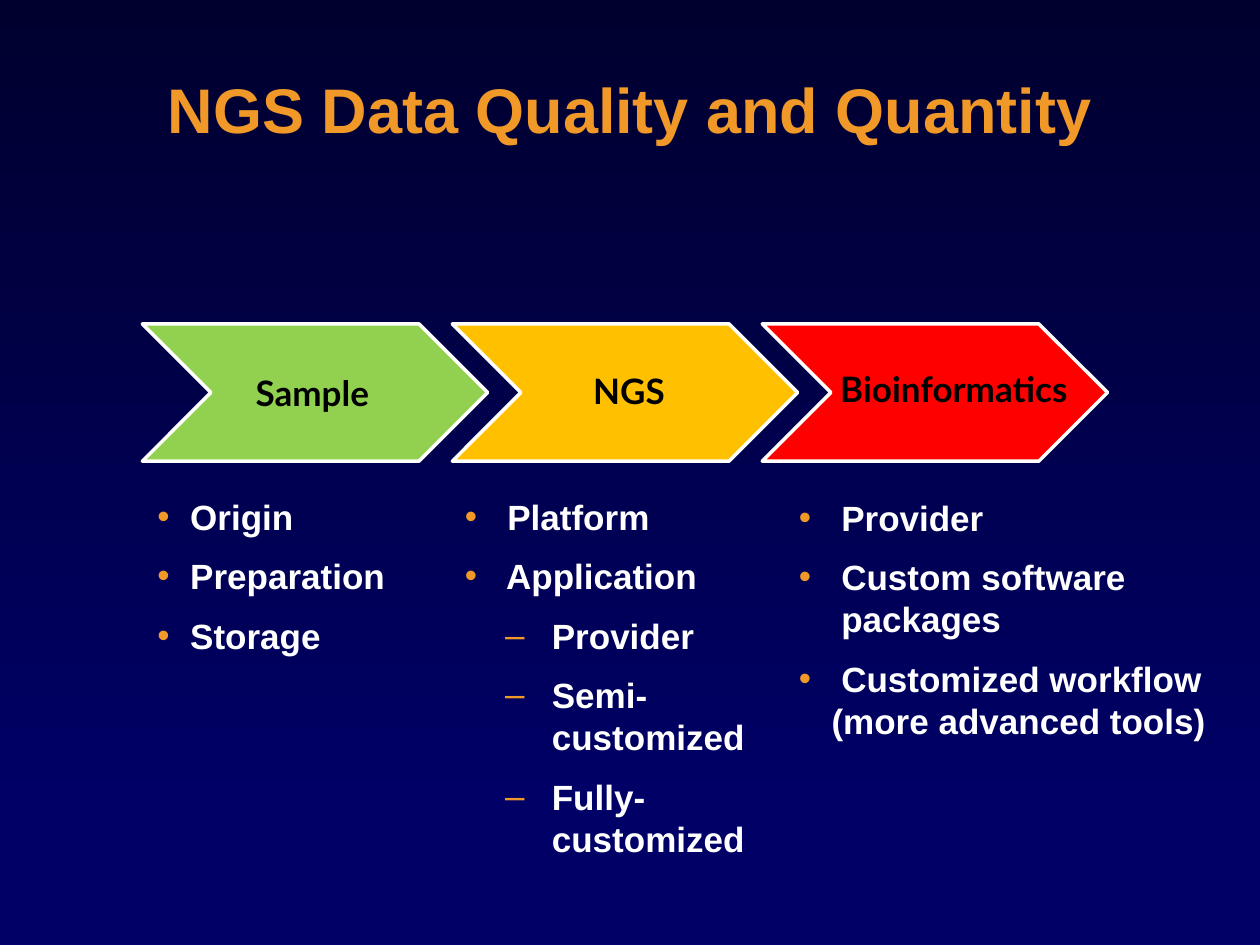
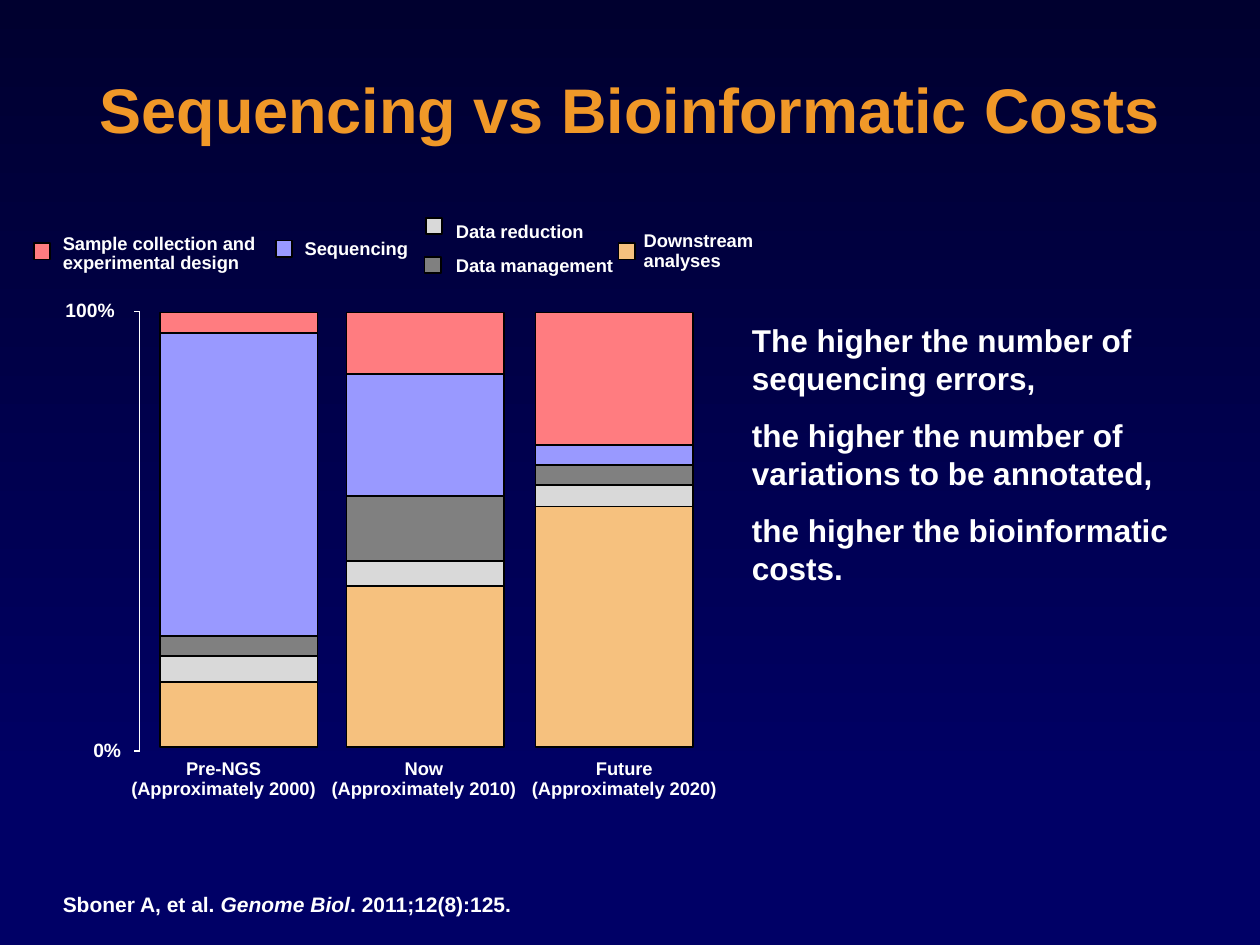
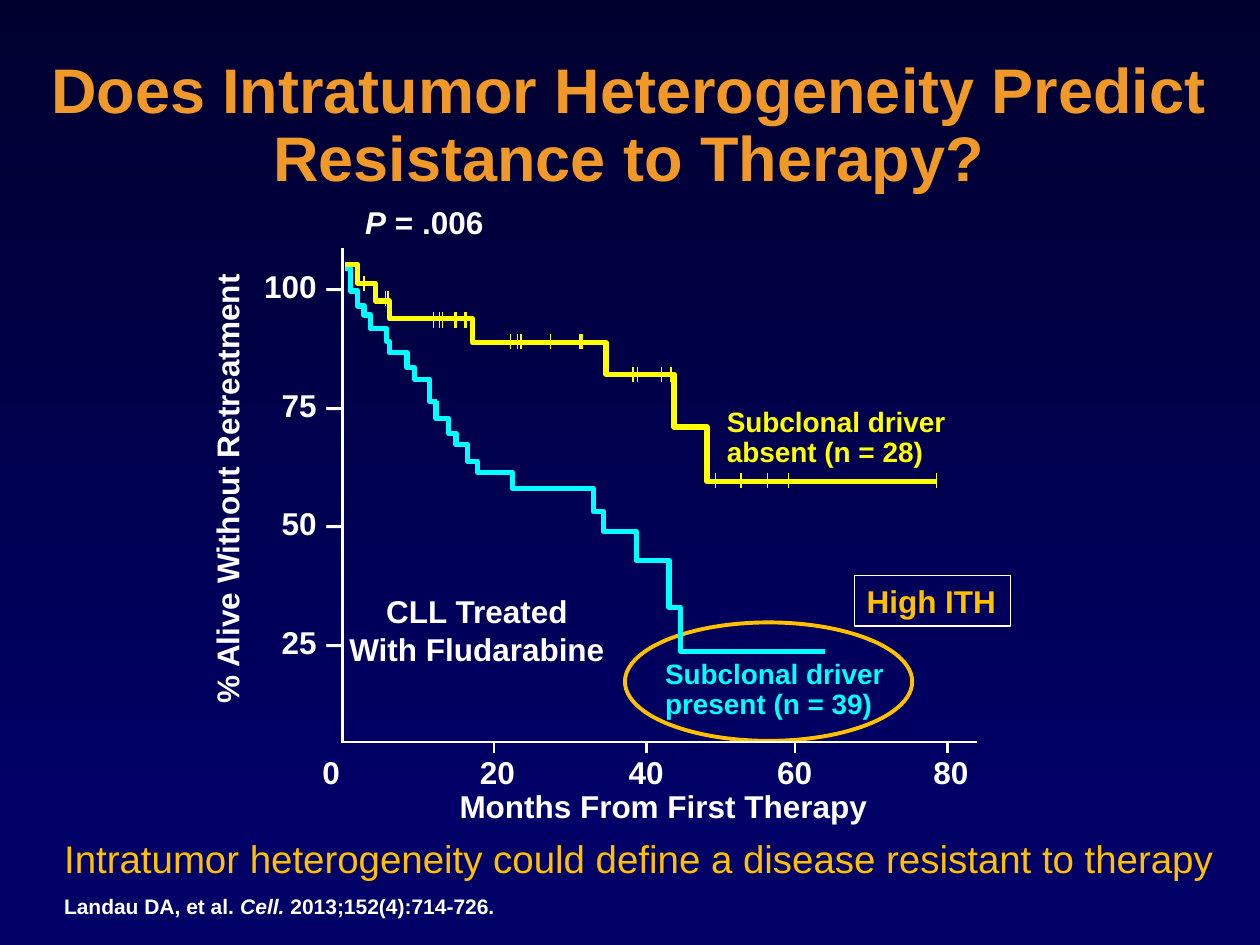
from pptx import Presentation
from pptx.dml.color import RGBColor
from pptx.enum.shapes import MSO_CONNECTOR, MSO_SHAPE as SHAPE
from pptx.enum.text import MSO_ANCHOR as ANCHOR, PP_ALIGN as ALIGN
from pptx.oxml import parse_xml
from pptx.oxml.ns import nsdecls
from pptx.oxml.xmlchemy import OxmlElement
from pptx.util import Pt

# Shared style: 100 px to the inch
PX = 9144
WIDTH, HEIGHT = 1000, 750
SANS, LABEL_FONT = "Arial", "Lato"

WHITE = RGBColor(0xFF, 0xFF, 0xFF)
BLACK = RGBColor(0x00, 0x00, 0x00)
NAVY = RGBColor(0x00, 0x00, 0x66)
MIDNIGHT = RGBColor(0x00, 0x00, 0x2F)
ORANGE = RGBColor(0xF0, 0x98, 0x28)
GOLD = RGBColor(0xFF, 0xC0, 0x00)
GREEN = RGBColor(0x92, 0xD0, 0x50)
RED = RGBColor(0xFF, 0x00, 0x00)
YELLOW = RGBColor(0xFF, 0xFF, 0x00)
CYAN = RGBColor(0x00, 0xFF, 0xFF)
SALMON = RGBColor(0xFF, 0x7C, 0x80)
LILAC = RGBColor(0x99, 0x99, 0xFF)
GRAY = RGBColor(0x80, 0x80, 0x80)
SILVER = RGBColor(0xD9, 0xD9, 0xD9)
PEACH = RGBColor(0xF6, 0xC1, 0x7E)

# Bullet mark: level, left margin, hanging indent
BULLETS = {"•": (0, 26, -26), "–": (1, 69, -37)}


def add_bullet(paragraph, mark):
    level, margin, indent = BULLETS[mark]
    paragraph.level = level
    props = paragraph._p.get_or_add_pPr()
    props.set("marL", str(margin * PX))
    props.set("indent", str(indent * PX))
    ns = nsdecls("a")
    props.append(parse_xml(f'<a:buClr {ns}><a:srgbClr val="{ORANGE}"/></a:buClr>'))
    props.append(parse_xml(f'<a:buFont {ns} typeface="{SANS}"/>'))
    props.append(parse_xml(f'<a:buChar {ns} char="{mark}"/>'))


def add_tabs(paragraph, stops):
    tabs = "".join(f'<a:tab pos="{stop * PX}" algn="l"/>' for stop in stops)
    paragraph._p.get_or_add_pPr().append(
        parse_xml(f'<a:tabLst {nsdecls("a")}>{tabs}</a:tabLst>'))


def add_text_shadow(run):
    shadow = parse_xml(
        f'<a:effectLst {nsdecls("a")}><a:outerShdw blurRad="38100" dist="38100" '
        'dir="2700000" algn="tl"><a:srgbClr val="000000"/></a:outerShdw></a:effectLst>')
    run.font.fill._xPr.find("{*}solidFill").addnext(shadow)


def write(frame, text, size=18, color=WHITE, bold=True, font=SANS, align=ALIGN.LEFT,
          spacing=None, after=None, inset=None, anchor=ANCHOR.TOP, wrap=True,
          bulleted=False, tabs=(), shadow=False):
    """Fill a frame: one paragraph a line, *italic* between stars, \\v for a line break."""
    frame.word_wrap = wrap
    frame.vertical_anchor = anchor
    if inset is not None:
        frame.margin_left = frame.margin_right = inset * PX
        frame.margin_top = frame.margin_bottom = inset * PX
    for number, line in enumerate(text.split("\n")):
        paragraph = frame.add_paragraph() if number else frame.paragraphs[0]
        if bulleted:
            add_bullet(paragraph, line[0])
            line = line[1:]
        if tabs:
            add_tabs(paragraph, tabs)
        paragraph.alignment = align
        if spacing:
            paragraph.line_spacing = spacing
        if after:
            paragraph.space_after = Pt(after)
        for part, words in enumerate(line.split("*")):
            for row, piece in enumerate(words.split("\v")):
                if row:
                    paragraph.add_line_break()
                if not piece:
                    continue
                run = paragraph.add_run()
                run.text = piece
                run.font.name, run.font.size = font, Pt(size)
                run.font.bold, run.font.italic = bold, part % 2 == 1
                run.font.color.rgb = color
                if shadow:
                    add_text_shadow(run)


class Deck:
    def __init__(self):
        self.prs = Presentation()
        self.prs.slide_width, self.prs.slide_height = WIDTH * PX, HEIGHT * PX
        self.slide = None

    def add_slide(self, title, left=37, top=27, width=926):
        self.slide = self.prs.slides.add_slide(self.prs.slide_layouts[6])
        if len(self.prs.slides) == 1:
            self.paint_master()
        self.text(left, top, width, 125, title, size=36, color=ORANGE, spacing=0.9,
                  align=ALIGN.CENTER, anchor=ANCHOR.MIDDLE, inset=0, shadow=True)

    def paint_master(self):
        """Put the navy backdrop and its gradient band behind every slide."""
        master = self.prs.slide_master
        master.background.fill.solid()
        master.background.fill.fore_color.rgb = NAVY
        band = self.shape(SHAPE.RECTANGLE, 0, 0, WIDTH, 642)
        band.fill.gradient()
        band.fill.gradient_angle = 270
        for stop, color in zip(band.fill.gradient_stops, (MIDNIGHT, NAVY)):
            stop.color.rgb = color
        master.shapes.element.insert(2, band.element)

    def text(self, left, top, width, height, text, rotation=0, **style):
        box = self.slide.shapes.add_textbox(left * PX, top * PX, width * PX, height * PX)
        box.rotation = rotation
        write(box.text_frame, text, **style)

    def outline(self, shape, fill, line, weight):
        shape.shadow.inherit = False
        if fill is None:
            shape.fill.background()
        else:
            shape.fill.solid()
            shape.fill.fore_color.rgb = fill
        if line is None:
            shape.line.fill.background()
        else:
            shape.line.color.rgb = line
            shape.line.width = Pt(weight)
        return shape

    def shape(self, kind, left, top, width, height, fill=None, line=None, weight=1):
        shape = self.slide.shapes.add_shape(
            kind, left * PX, top * PX, width * PX, height * PX)
        return self.outline(shape, fill, line, weight)

    def line(self, x1, y1, x2, y2, color=WHITE, weight=0.75):
        line = self.slide.shapes.add_connector(
            MSO_CONNECTOR.STRAIGHT, x1 * PX, y1 * PX, x2 * PX, y2 * PX)
        line.line.color.rgb = color
        line.line.width = Pt(weight)
        line.element.spPr.append(OxmlElement("a:effectLst"))

    def stairs(self, start, steps, color):
        """Draw a survival curve: across to each x, then down to its y."""
        builder = self.slide.shapes.build_freeform(*start, scale=PX)
        level, corners = start[1], []
        for x, y in steps:
            corners += [(x, level), (x, y)]
            level = y
        builder.add_line_segments(corners, close=False)
        self.outline(builder.convert_to_shape(), None, color, 3)


def build_quality(deck):
    deck.add_slide("NGS Data Quality and Quantity")

    # Process chevrons
    for step, color in enumerate((GREEN, GOLD, RED)):
        deck.shape(SHAPE.CHEVRON, 113 + 246 * step, 257, 274, 109, color, WHITE, 2)
    for left, top, stage in ((657, 287, "Bioinformatics"), (461, 288, "NGS"),
                             (193, 290, "Sample")):
        deck.text(left, top, 228, 44, stage, size=20, color=BLACK, font=LABEL_FONT)

    # Factors below each stage
    factors = (
        (125, 393, 197, "•Origin\n•Preparation\n•Storage"),
        (369, 393, 250, "• Platform\n• Application\n–Provider\n"
                        "–Semi-customized\n–Fully-customized"),
        (634, 394, 323, "• Provider\n• Custom software\v packages\n"
                        "• Customized workflow (more advanced tools)"),
    )
    for left, top, width, items in factors:
        deck.text(left, top, width, 197, items, size=20, after=10, inset=0, bulleted=True)


def build_costs(deck):
    deck.add_slide("Sequencing vs Bioinformatic Costs")
    deck.text(40, 703, 567, 30, "Sboner A, et al. *Genome Biol*. 2011;12(8):125.", size=12)
    deck.text(587, 250, 386, 256,
              "The higher the number of sequencing errors,\n"
              "the higher the number of variations to be annotated,\n"
              "the higher the bioinformatic costs.", after=11)

    # Stacked cost columns, from the top down
    costs = (SALMON, LILAC, GRAY, SILVER, PEACH)
    periods = (
        (127, 92, "Pre-NGS\n(Approximately 2000)", (16, 241, 16, 20, 52)),
        (275, 251, "Now\n(Approximately 2010)", (49, 97, 51, 20, 128)),
        (425, 410, "Future\n(Approximately 2020)", (105, 16, 16, 17, 191)),
    )
    for left, label_left, period, shares in periods:
        top = 248
        for color, share in zip(costs, shares):
            deck.shape(SHAPE.RECTANGLE, left, top, 125, share, color, BLACK)
            top += share
        deck.text(label_left, 598, 171, 42, period, size=10.5, spacing=0.9,
                  align=ALIGN.CENTER)

    # Legend: swatch corner, label box, label
    legend = (
        (SALMON, 27, 193, 40, 181, 240, "Sample collection and experimental design"),
        (LILAC, 219, 191, 232, 185, 120, "Sequencing"),
        (SILVER, 338, 173, 352, 172, 125, "Data reduction"),
        (GRAY, 337, 204, 352, 199, 149, "Data management"),
        (PEACH, 491, 193, 501, 179, 149, "Downstream analyses"),
    )
    for color, x, y, left, top, width, cost in legend:
        deck.shape(SHAPE.RECTANGLE, x, y, 13, 13, color, BLACK)
        deck.text(left, top, width, 26, cost, size=10.5, spacing=0.9)

    # Percentage axis
    deck.line(111, 247, 111, 597)
    for left, top, tick, percent in ((33, 232, 247, "100%"), (38, 581, 596, "0%")):
        deck.text(left, top, 68, 29, percent, size=11, align=ALIGN.RIGHT)
        deck.line(111, tick, 106, tick)


def build_survival(deck):
    deck.add_slide("Does Intratumor Heterogeneity Predict Resistance to Therapy?",
                   left=14, top=38, width=970)
    deck.text(41, 704, 365, 30, "Landau DA, et al. *Cell.* 2013;152(4):714-726.",
              size=12, wrap=False)

    # High heterogeneity callout
    deck.shape(SHAPE.OVAL, 496, 494, 228, 94, line=GOLD, weight=2.25)
    callout = deck.shape(SHAPE.RECTANGLE, 678, 457, 124, 40, line=WHITE, weight=0.75)
    write(callout.text_frame, "High ITH", color=GOLD, wrap=False)

    # Conclusion and notes in the plot
    deck.text(26, 658, 962, 47,
              "Intratumor heterogeneity could define a disease resistant to therapy",
              size=22, color=GOLD, bold=False, align=ALIGN.CENTER)
    deck.text(266, 465, 225, 71, "CLL Treated\nWith Fludarabine",
              align=ALIGN.CENTER, wrap=False)
    deck.text(280, 156, 215, 40, "*P* = .006")
    deck.text(567, 319, 243, 59, "Subclonal driver absent (n = 28)",
              size=16, color=YELLOW, spacing=0.9)
    deck.text(518, 519, 243, 59, "Subclonal driver present (n = 39)",
              size=16, color=CYAN, spacing=0.9)

    # Axes
    deck.line(272, 197, 272, 590, weight=1.5)
    deck.line(775, 589, 272, 589, weight=1.5)
    deck.text(306, 620, 441, 40, "Months From First Therapy", align=ALIGN.CENTER)
    deck.text(-30, 368, 420, 40, "% Alive Without Retreatment", rotation=270,
              align=ALIGN.CENTER)
    deck.text(190, 143, 92, 390, "100 –\n75 –\n50 –\n25 –", align=ALIGN.RIGHT,
              spacing=3.14)
    deck.text(246, 593, 642, 40, "0\t20\t40\t60\t80", tabs=(125, 243, 361, 485))
    for month in (392, 513, 631, 752):
        deck.line(month, 589, month, 598, weight=1.5)

    # Censoring marks on the upper curve
    censored = {
        219: (289,),
        231: (306, 308),
        248: (344, 349, 351, 361, 362, 369, 370),
        265: (405, 411, 413, 414, 437, 460, 461, 462),
        291: (502, 503, 506, 525, 532, 533),
        375: (568, 588, 609, 626, 743),
    }
    for top, marks in censored.items():
        for x in marks:
            deck.line(x, top, x, top + 12, YELLOW)

    # Survival curves
    deck.stairs((274, 213), (
        (278, 231), (284, 243), (289, 250), (294, 261), (307, 271), (309, 280),
        (323, 292), (329, 301), (341, 319), (347, 319)), CYAN)
    deck.stairs((274, 210), (
        (284, 225), (298, 239), (309, 253), (375, 272), (481, 297), (535, 339),
        (561, 382), (743, 382)), YELLOW)
    deck.stairs((346, 318), (
        (346, 332), (356, 344), (362, 353), (371, 366), (379, 375), (407, 388),
        (471, 406), (479, 422), (505, 445), (531, 482), (540, 517), (655, 517)), CYAN)


def main():
    deck = Deck()
    build_quality(deck)
    build_costs(deck)
    build_survival(deck)
    deck.prs.save("out.pptx")


if __name__ == "__main__":
    main()
